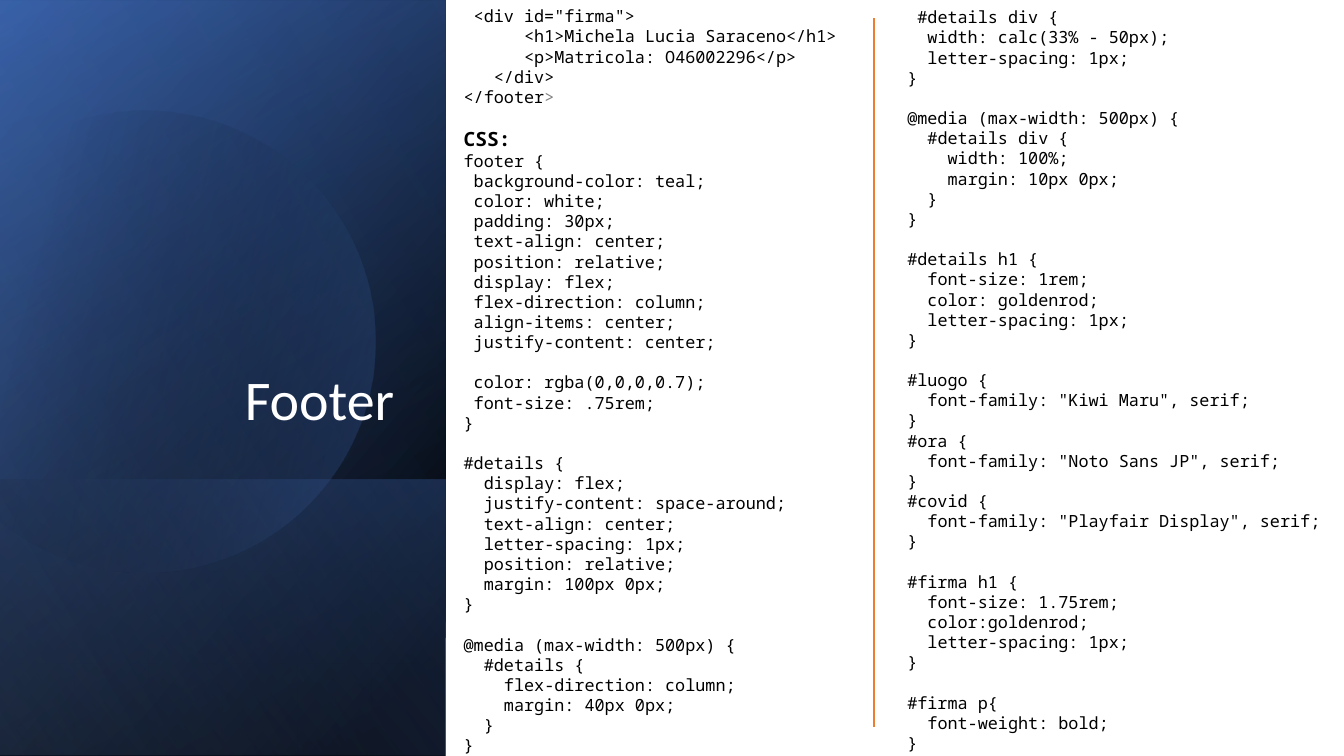
from dataclasses import dataclass
from math import cos, radians, sin

from lxml.etree import SubElement
from pptx import Presentation
from pptx.dml.color import RGBColor
from pptx.enum.shapes import MSO_CONNECTOR, MSO_SHAPE
from pptx.enum.text import MSO_ANCHOR, MSO_AUTO_SIZE, PP_ALIGN
from pptx.oxml.ns import qn
from pptx.shapes.autoshape import Shape
from pptx.slide import Slide
from pptx.util import Emu, Pt

EMU_PER_PX = 9144
SLIDE_WIDTH, SLIDE_HEIGHT = 1333, 750
CHARACTER_WIDTH = 10
CODE_FONT = "Noto Sans Mono"
CODE_LINE = Pt(14.4)

BLACK = RGBColor(0x00, 0x00, 0x00)
WHITE = RGBColor(0xFF, 0xFF, 0xFF)
GREY = RGBColor(0x80, 0x80, 0x80)
BLUE = RGBColor(0x44, 0x72, 0xC4)
DARK_BLUE = RGBColor(0x2F, 0x55, 0x97)
LIGHT_BLUE = RGBColor(0x8F, 0xAA, 0xDC)
ORANGE = RGBColor(0xED, 0x7D, 0x31)


@dataclass(frozen=True)
class Stop:
    position: int
    color: RGBColor
    opacity: int = 100


@dataclass(frozen=True)
class Gradient:
    start: Stop
    end: Stop
    clockwise_angle: int


@dataclass(frozen=True)
class Panel:
    left: int
    top: int
    width: int
    height: int
    gradient: Gradient


@dataclass(frozen=True)
class CodeColumn:
    left: int
    top: int
    width: int
    height: int
    code: str


BASE_PANELS = [
    Panel(-154, 154, 750, 442, Gradient(Stop(8, BLACK), Stop(100, DARK_BLUE), 50)),
    Panel(-154, 155, 750, 442, Gradient(Stop(0, BLACK, 0), Stop(99, BLUE, 46), 30)),
    Panel(84, 392, 274, 442, Gradient(Stop(2, BLUE, 29), Stop(100, BLACK, 30), 130)),
]
DISC_GRADIENT = Gradient(Stop(29, BLACK, 0), Stop(100, BLUE, 43), 30)
TOP_PANEL = Panel(-154, 153, 750, 442, Gradient(Stop(0, BLACK, 0), Stop(99, LIGHT_BLUE, 11), 120))

# Leading spaces become indents and empty lines become space before a paragraph.
COLUMNS = [
    CodeColumn(450, 1, 455, 781, """\
 <div id="firma">
      <h1>Michela Lucia Saraceno</h1>
      <p>Matricola: O46002296</p>
   </div>
</footer>

CSS:
footer {
 background-color: teal;
 color: white;
 padding: 30px;
 text-align: center;
 position: relative;
 display: flex;
 flex-direction: column;
 align-items: center;
 justify-content: center;

 color: rgba(0,0,0,0.7);
 font-size: .75rem;
}

#details {
  display: flex;
  justify-content: space-around;
  text-align: center;
  letter-spacing: 1px;
  position: relative;
  margin: 100px 0px;
}

@media (max-width: 500px) {
  #details {
    flex-direction: column;
    margin: 40px 0px;
  }
}"""),
    CodeColumn(890, 2, 455, 798, """\
 #details div {
  width: calc(33% - 50px);
  letter-spacing: 1px;
}

@media (max-width: 500px) {
  #details div {
    width: 100%;
    margin: 10px 0px;
  }
}

#details h1 {
  font-size: 1rem;
  color: goldenrod;
  letter-spacing: 1px;
}

#luogo {
  font-family: "Kiwi Maru", serif;
}
#ora {
  font-family: "Noto Sans JP", serif;
}
#covid {
  font-family: "Playfair Display", serif;
}

#firma h1 {
  font-size: 1.75rem;
  color:goldenrod;
  letter-spacing: 1px;
}

#firma p{
  font-weight: bold;
}"""),
]


def px(length: float) -> Emu:
    return Emu(round(length * EMU_PER_PX))


def paint(shape: Shape, gradient: Gradient) -> None:
    shape.shadow.inherit = False
    shape.line.fill.background()
    shape.fill.gradient()
    shape.fill.gradient_angle = 360 - gradient.clockwise_angle
    stops = (gradient.start, gradient.end)
    for target, stop in zip(shape.fill.gradient_stops, stops):
        target.position = stop.position / 100
        target.color.rgb = stop.color
    for color, stop in zip(list(shape.element.spPr.iter(qn("a:srgbClr"))), stops):
        if stop.opacity < 100:
            SubElement(color, qn("a:alpha")).set("val", str(stop.opacity * 1000))


def add_backdrop(slide: Slide) -> None:
    backdrop = slide.shapes.add_shape(MSO_SHAPE.RECTANGLE, 0, 0, px(SLIDE_WIDTH), px(SLIDE_HEIGHT))
    backdrop.shadow.inherit = False
    backdrop.line.fill.background()
    backdrop.fill.solid()
    backdrop.fill.fore_color.rgb = WHITE


def add_panel(slide: Slide, panel: Panel) -> None:
    shape = slide.shapes.add_shape(MSO_SHAPE.RECTANGLE, px(panel.left), px(panel.top),
                                   px(panel.width), px(panel.height))
    shape.rotation = 90
    shape.element.spPr.find(qn("a:xfrm")).set("flipH", "1")
    paint(shape, panel.gradient)


def add_disc(slide: Slide) -> None:
    """Draw a disc cut off by a chord just beyond the slide's left edge."""
    width, height, radius, half_arc, tilt = 427, 457, 229, 133, 16
    first, last = [(px(width - radius + radius * cos(radians(angle))),
                    px(height / 2 + radius * sin(radians(angle))))
                   for angle in (tilt - half_arc, tilt + half_arc)]
    outline = slide.shapes.build_freeform(*first)
    outline.add_line_segments([last], close=True)
    disc = outline.convert_to_shape()
    disc.left, disc.top, disc.width, disc.height = px(-55), px(106), px(width), px(height)
    disc.rotation = 360 - tilt

    contour = disc.element.spPr.find(".//" + qn("a:path"))
    contour.set("w", str(px(width)))
    contour.set("h", str(px(height)))
    start = contour.find(qn("a:moveTo")).find(qn("a:pt"))
    start.set("x", str(first[0]))
    start.set("y", str(first[1]))
    arc = SubElement(contour, qn("a:arcTo"))
    contour.replace(contour.find(qn("a:lnTo")), arc)
    for key, value in {"wR": px(radius), "hR": px(radius),
                       "stAng": (360 + tilt - half_arc) * 60000,
                       "swAng": 2 * half_arc * 60000}.items():
        arc.set(key, str(value))
    paint(disc, DISC_GRADIENT)


def add_title(slide: Slide) -> None:
    title = slide.shapes.title
    title.element.getparent().append(title.element)
    title.left, title.top, title.width, title.height = px(51), px(64), px(350), px(370)
    frame = title.text_frame
    frame.text = "Footer"
    frame.vertical_anchor = MSO_ANCHOR.BOTTOM
    frame.auto_size = MSO_AUTO_SIZE.NONE
    heading = frame.paragraphs[0]
    heading.alignment = PP_ALIGN.RIGHT
    heading.line_spacing = 0.9
    font = heading.runs[0].font
    font.name, font.size, font.color.rgb = "Calibri", Pt(40), WHITE


def add_code(slide: Slide, column: CodeColumn) -> None:
    frame = slide.shapes.add_textbox(px(column.left), px(column.top),
                                     px(column.width), px(column.height)).text_frame
    frame.word_wrap = True
    frame.auto_size = MSO_AUTO_SIZE.SHAPE_TO_FIT_TEXT
    rows = column.code.split("\n")
    lines = [(row, before == "") for before, row in zip([None, *rows], rows) if row]
    frame.text = "\n".join(row.lstrip() for row, _ in lines)
    for paragraph, (row, after_gap) in zip(frame.paragraphs, lines):
        indent = len(row) - len(row.lstrip())
        paragraph._p.get_or_add_pPr().set("marL", str(px(indent * CHARACTER_WIDTH)))
        if after_gap:
            paragraph.space_before = CODE_LINE
        if row == "</footer>":
            paragraph.text = row[:-1]
            paragraph.add_run().text = row[-1]
        is_heading = row == "CSS:"
        for run in paragraph.runs:
            run.font.name = CODE_FONT
            run.font.size = Pt(14 if is_heading else 12)
            run.font.bold = is_heading
            run.font.color.rgb = GREY if run.text == ">" else BLACK


def add_divider(slide: Slide) -> None:
    divider = slide.shapes.add_connector(MSO_CONNECTOR.STRAIGHT, px(867), px(18), px(867), px(721))
    divider.line.color.rgb = ORANGE
    divider.line.width = Pt(1.5)
    SubElement(divider.element.spPr, qn("a:effectLst"))


def main() -> None:
    deck = Presentation()
    deck.slide_width, deck.slide_height = px(SLIDE_WIDTH), px(SLIDE_HEIGHT)
    slide = deck.slides.add_slide(deck.slide_layouts[5])
    add_backdrop(slide)
    for panel in BASE_PANELS:
        add_panel(slide, panel)
    add_disc(slide)
    add_panel(slide, TOP_PANEL)
    add_title(slide)
    html_column, details_column = COLUMNS
    add_code(slide, html_column)
    add_divider(slide)
    add_code(slide, details_column)
    deck.save("out.pptx")


if __name__ == "__main__":
    main()
